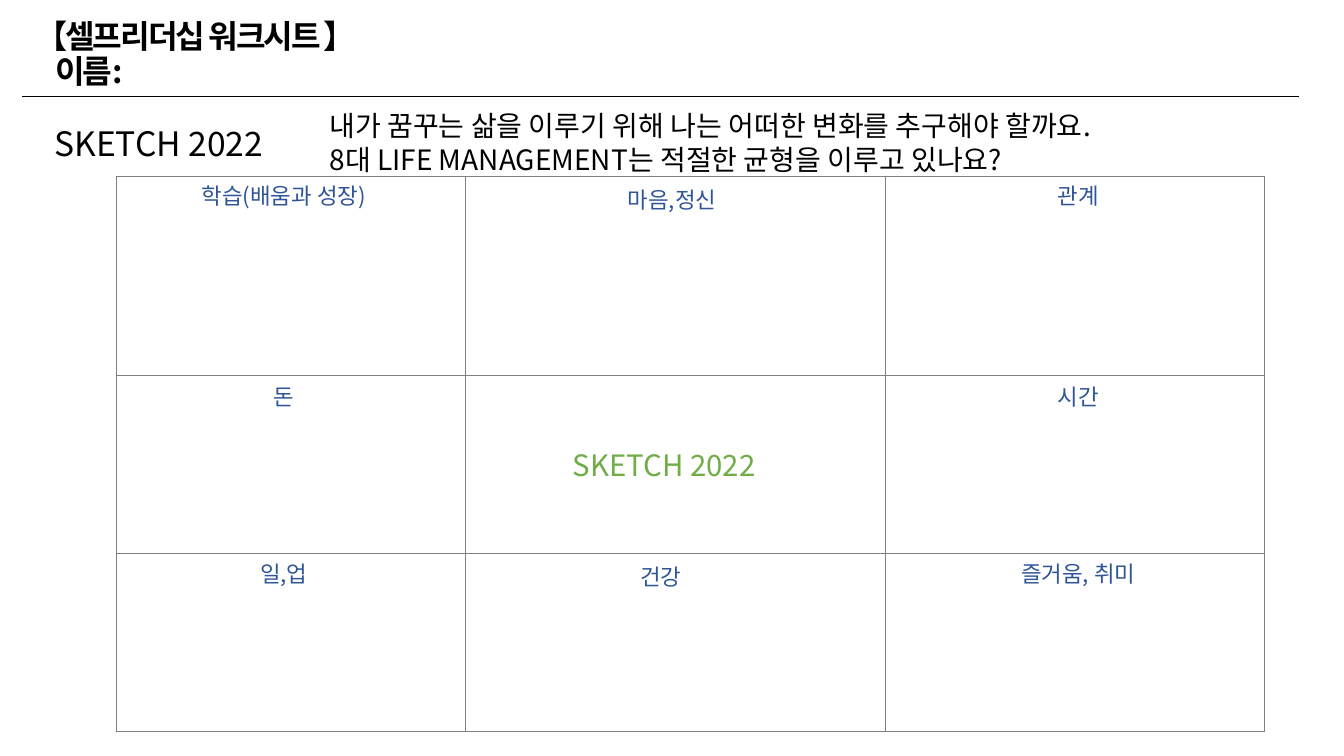
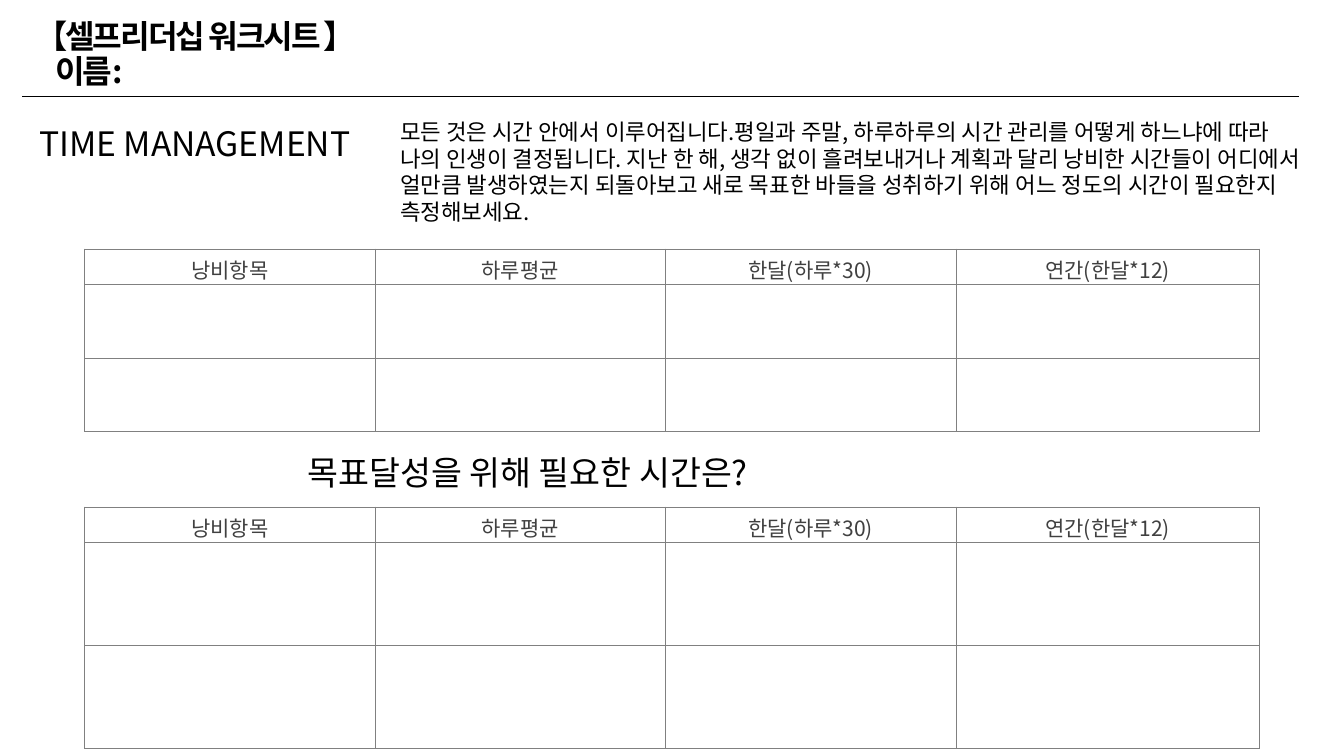
"""Build a two-slide self-leadership worksheet."""
import lxml.etree
import pptx
import pptx.dml.color
import pptx.enum.shapes
import pptx.enum.text
import pptx.oxml.ns
import pptx.util

PX = 9144
FONT = "Noto Sans CJK KR"
COLORS = {"black": "000000", "blue": "2F5597", "green": "70AD47",
          "dark": "404040", "border": "808080", "white": "FFFFFF"}
qn = pptx.oxml.ns.qn
ALIGN = pptx.enum.text.PP_ALIGN
MIDDLE = pptx.enum.text.MSO_ANCHOR.MIDDLE


def write(text_frame, lines, size, color, align=ALIGN.LEFT):
    """Write each line as a paragraph and return the paragraphs."""
    for index, line in enumerate(lines):
        paragraph = text_frame.paragraphs[0] if index == 0 else text_frame.add_paragraph()
        paragraph.alignment = align
        run = paragraph.add_run()
        run.text = line
        run.font.size = pptx.util.Pt(size)
        run.font.color.rgb = pptx.dml.color.RGBColor.from_string(COLORS[color])
        run.font.name = FONT
        lxml.etree.SubElement(run.font._element, qn("a:ea"), typeface=FONT)
    return text_frame.paragraphs


def add_grid(slide, left, top, height, columns, rows, fill=None):
    """Add a plain table with thin borders and return it."""
    frame = slide.shapes.add_table(len(rows), len(columns), left * PX, top * PX,
                                   sum(columns) * PX, height * PX)
    table = frame.table
    table.first_row = table.horz_banding = False
    for column, width in zip(table.columns, columns):
        column.width = width * PX
    for row, row_height in zip(table.rows, rows):
        row.height = row_height * PX
    frame.height = height * PX
    for cell in table.iter_cells():
        cell.vertical_anchor = MIDDLE
        properties = cell._tc.get_or_add_tcPr()
        for side in ("L", "R", "T", "B"):
            border = lxml.etree.SubElement(properties, qn(f"a:ln{side}"), w="6350")
            solid = lxml.etree.SubElement(border, qn("a:solidFill"))
            lxml.etree.SubElement(solid, qn("a:srgbClr"), val=COLORS["border"])
        if fill:
            cell.fill.solid()
            cell.fill.fore_color.rgb = pptx.dml.color.RGBColor.from_string(COLORS[fill])
        else:
            cell.fill.background()
    return table


presentation = pptx.Presentation()
presentation.slide_width = 1333 * PX
presentation.slide_height = 750 * PX
title_only = presentation.slide_layouts[5]

slides = []
for number in range(2):
    slide = presentation.slides.add_slide(title_only)
    rule = slide.shapes.add_connector(pptx.enum.shapes.MSO_CONNECTOR.STRAIGHT,
                                      22 * PX, 96 * PX, 1288 * PX, 96 * PX)
    rule.line.color.rgb = pptx.dml.color.RGBColor.from_string(COLORS["black"])
    rule.line.width = pptx.util.Pt(0.5)
    lxml.etree.SubElement(rule._element.spPr, qn("a:effectLst"))

    title = slide.shapes.title
    title.left, title.top, title.width, title.height = 28 * PX, 15 * PX, 1174 * PX, 80 * PX
    frame = title.text_frame
    frame.auto_size = pptx.enum.text.MSO_AUTO_SIZE.NONE
    frame.vertical_anchor = MIDDLE
    frame.margin_left = frame.margin_right = 7 * PX
    frame.margin_top = frame.margin_bottom = 4 * PX
    paragraphs = write(frame, ["【셀프리더십 워크시트 】", "이름:"], 23, "black")
    for paragraph in paragraphs:
        paragraph.line_spacing = 0.9
        font = paragraph.runs[0].font
        font.bold = True
        font._element.set("spc", "-150")
    paragraphs[1]._p.get_or_add_pPr().set("marL", str(20 * PX))
    slides.append(slide)

sketch_slide, time_slide = slides

life_table = add_grid(sketch_slide, 115, 175, 552, [347, 416, 376], [197, 177, 177])
center = life_table.cell(1, 1)
center.margin_left = 106 * PX
write(center.text_frame, ["SKETCH 2022"], 21, "green")

life_areas = [
    (-52, 176, "학습(배움과 성장)"), (333, 180, "마음,정신"), (736, 176, "관계"),
    (-52, 375, "돈"), (736, 375, "시간"),
    (-52, 551, "일,업"), (322, 554, "건강"), (736, 551, "즐거움, 취미"),
]
text_boxes = [(sketch_slide, left, top, 667, 37, [area], 16, "blue", ALIGN.CENTER)
              for left, top, area in life_areas]
text_boxes += [
    (sketch_slide, 44, 117, 265, 50, ["SKETCH 2022"], 24, "black", ALIGN.LEFT),
    (sketch_slide, 317, 103, 805, 77,
     ["내가 꿈꾸는 삶을 이루기 위해 나는 어떠한 변화를 추구해야 할까요.",
      "8대 LIFE MANAGEMENT는 적절한 균형을 이루고 있나요?"], 20, "black", ALIGN.LEFT),
    (time_slide, 29, 117, 358, 50, ["TIME MANAGEMENT"], 24, "black", ALIGN.LEFT),
    (time_slide, 387, 112, 915, 118,
     ["모든 것은 시간 안에서 이루어집니다.평일과 주말, 하루하루의 시간 관리를 어떻게 하느냐에 "
      "따라 나의 인생이 결정됩니다. 지난 한 해, 생각 없이 흘려보내거나 계획과 달리 낭비한 시간들이 "
      "어디에서 얼만큼 발생하였는지 되돌아보고 새로 목표한 바들을 성취하기 위해 어느 정도의 시간이 "
      "필요한지 측정해보세요."], 16, "black", ALIGN.LEFT),
    (time_slide, 295, 443, 1027, 50, ["목표달성을 위해 필요한 시간은?"], 24, "black", ALIGN.LEFT),
]
for slide, left, top, width, height, lines, size, color, align in text_boxes:
    box = slide.shapes.add_textbox(left * PX, top * PX, width * PX, height * PX)
    box.text_frame.word_wrap = True
    box.text_frame.auto_size = pptx.enum.text.MSO_AUTO_SIZE.SHAPE_TO_FIT_TEXT
    write(box.text_frame, lines, size, color, align)

headers = ["낭비항목", "하루평균", "한달(하루*30)", "연간(한달*12)"]
for top, height, entry_height in [(247, 182, 73), (503, 238, 102)]:
    time_table = add_grid(time_slide, 84, top, height, [288, 288, 288, 301],
                          [34, entry_height, entry_height], "white")
    for column, header in enumerate(headers):
        write(time_table.cell(0, column).text_frame, [header], 15, "dark", ALIGN.CENTER)

presentation.save("out.pptx")
